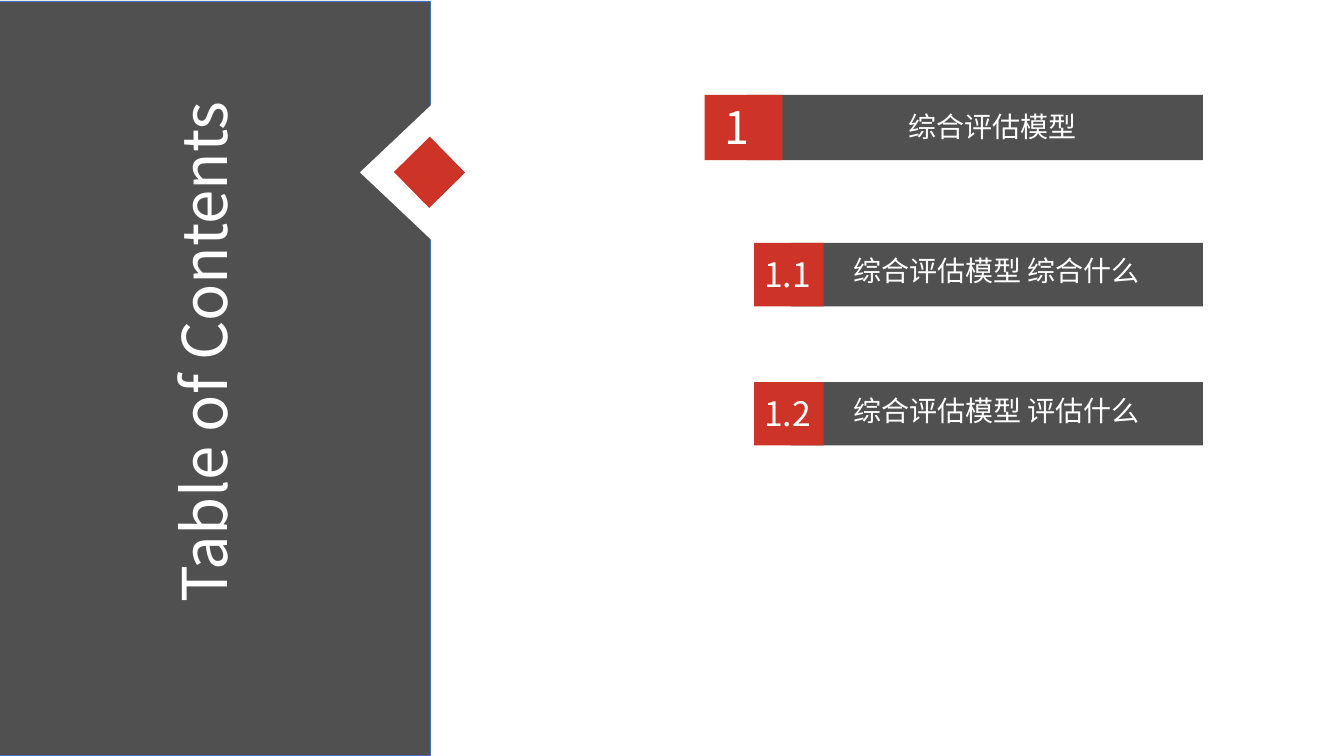
import pptx
import pptx.dml.color
import pptx.enum.shapes
import pptx.enum.text
import pptx.oxml.ns
import pptx.util
from dataclasses import dataclass
from lxml import etree

Inches = pptx.util.Inches
RGBColor = pptx.dml.color.RGBColor
ALIGN = pptx.enum.text.PP_ALIGN

GREY = RGBColor(0x50, 0x50, 0x50)
RED = RGBColor(0xCE, 0x33, 0x27)
WHITE = RGBColor(0xFF, 0xFF, 0xFF)
BLUE = RGBColor(0x44, 0x72, 0xC4)
FONT = "Noto Sans CJK SC"


@dataclass
class EntryStyle:
    badge_width: float
    bar_indent: float
    number_size: int
    number_box: tuple  # left, top, width, height within the entry
    label_box: tuple


CHAPTER = EntryStyle(0.77, 0.41, 32, (0.15, 0, 0.46, 0.64), (0.65, 0.1, 4.41, 0.44))
SECTION = EntryStyle(0.69, 0.37, 24, (0.05, 0.06, 0.64, 0.5), (0.2, 0.06, 4.41, 0.44))


def paint(shape, color):
    shape.shadow.inherit = False
    shape.fill.solid()
    shape.fill.fore_color.rgb = color
    shape.line.fill.background()
    return shape


def add_block(page, box, color):
    kind = pptx.enum.shapes.MSO_SHAPE.RECTANGLE
    return paint(page.shapes.add_shape(kind, *map(Inches, box)), color)


def write(shape, text, size, align):
    frame = shape.text_frame
    frame.word_wrap = True
    frame.auto_size = pptx.enum.text.MSO_AUTO_SIZE.SHAPE_TO_FIT_TEXT
    frame.vertical_anchor = pptx.enum.text.MSO_ANCHOR.TOP
    frame.margin_left = frame.margin_right = Inches(0.05)
    frame.margin_top = frame.margin_bottom = Inches(0.05)
    frame.text = text
    para = frame.paragraphs[0]
    para.alignment = align
    span = para.runs[0]
    span.font.size = pptx.util.Pt(size)
    span.font.name = FONT
    span.font.color.rgb = WHITE
    # East Asian characters take their own font setting
    latin = span.font._element.find(pptx.oxml.ns.qn("a:latin"))
    east_asian = etree.Element(pptx.oxml.ns.qn("a:ea"), typeface=FONT)
    latin.addnext(east_asian)


def add_title_panel(page, box):
    left, top, width, height = box
    right = left + width

    # Dark panel
    panel = add_block(page, box, GREY)
    panel.line.color.rgb = BLUE
    panel.line.width = pptx.util.Pt(0.5)

    # White notch cut into the right edge, with a red diamond in it
    notch_depth, notch_top, notch_height = 0.7, top + 1.01, 1.38
    middle = notch_top + notch_height / 2
    builder = page.shapes.build_freeform(
        Inches(right - notch_depth), Inches(middle))
    builder.add_line_segments(
        [(Inches(right + 0.03), Inches(notch_top)),
         (Inches(right + 0.03), Inches(notch_top + notch_height))], close=True)
    paint(builder.convert_to_shape(), WHITE)
    side = 0.5
    diamond = add_block(
        page, (right - 0.26, middle - side / 2, side, side), RED)
    diamond.rotation = 45.5

    # Title reading upwards, brought in front of the panel
    title = page.shapes.title
    title_width, title_height = 6.22, 0.84
    title.left = Inches(left + width / 2 - 0.1 - title_width / 2)
    title.top = Inches(top + 3.48 - title_height / 2)
    title.width, title.height = Inches(title_width), Inches(title_height)
    title.rotation = 270
    write(title, "Table of Contents", 44, ALIGN.CENTER)
    page.shapes.element.append(title.element)


def add_entry(page, box, number, label, style):
    left, top, width, height = box
    indent = style.bar_indent
    add_block(page, (left + indent, top, width - indent, height), GREY)
    add_block(page, (left, top, style.badge_width, height), RED)
    for text, size, align, (dx, dy, text_width, text_height) in (
            (number, style.number_size, ALIGN.LEFT, style.number_box),
            (label, 20, ALIGN.CENTER, style.label_box)):
        text_box = page.shapes.add_textbox(
            Inches(left + dx), Inches(top + dy),
            Inches(text_width), Inches(text_height))
        write(text_box, text, size, align)


def add_contents(page, box):
    left, top, width, chapter_height = box
    add_entry(page, box, "1", "综合评估模型", CHAPTER)

    # Sections are indented and share the chapter's right edge
    indent, first, pitch = 0.49, 1.47, 1.38
    sections = (("1.1", "综合评估模型 综合什么"),
                ("1.2", "综合评估模型 评估什么"))
    for index, (number, label) in enumerate(sections):
        section_box = (left + indent, top + first + index * pitch,
                       width - indent, 0.63)
        add_entry(page, section_box, number, label, SECTION)


deck = pptx.Presentation()
deck.slide_width, deck.slide_height = Inches(13.33), Inches(7.5)
page = deck.slides.add_slide(deck.slide_layouts.get_by_name("Title Only"))
page.background.fill.solid()
page.background.fill.fore_color.rgb = WHITE
add_title_panel(page, (-0.03, 0.01, 4.3, 7.48))
add_contents(page, (6.99, 0.94, 4.94, 0.65))
deck.save("out.pptx")
